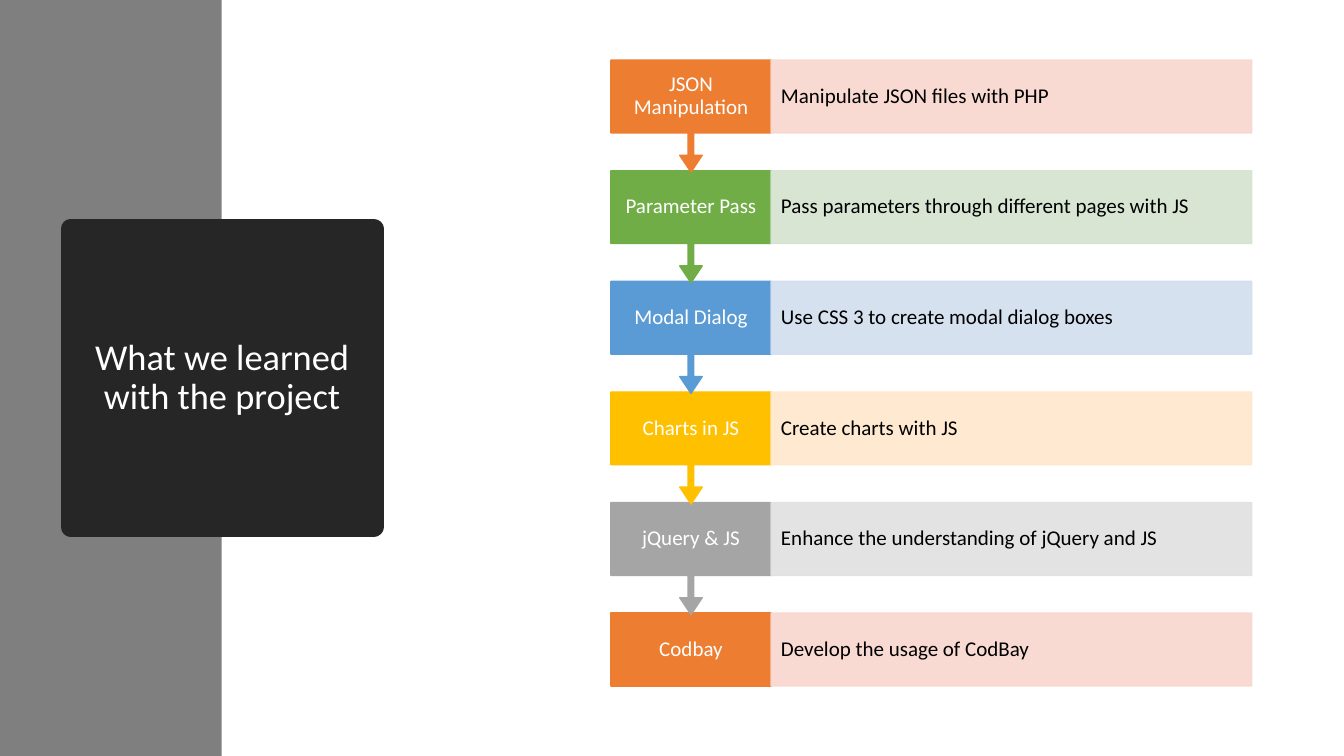
from lxml.etree import SubElement
from pptx import Presentation
from pptx.dml.color import RGBColor
from pptx.enum.shapes import MSO_SHAPE
from pptx.enum.text import MSO_ANCHOR, MSO_AUTO_SIZE, PP_ALIGN
from pptx.oxml.ns import qn
from pptx.util import Pt

TITLE = "What we learned with the project"
LESSONS = [
    ("JSON Manipulation", "Manipulate JSON files with PHP", "orange"),
    ("Parameter Pass", "Pass parameters through different pages with JS", "green"),
    ("Modal Dialog", "Use CSS 3 to create modal dialog boxes", "blue"),
    ("Charts in JS", "Create charts with JS", "gold"),
    ("jQuery & JS", "Enhance the understanding of jQuery and JS", "gray"),
    ("Codbay", "Develop the usage of CodBay", "orange"),
]
COLORS = {
    "panel": "7F7F7F", "card": "262626", "white": "FFFFFF", "black": "000000",
    "orange": "ED7D31", "orange tint": "F8D7CE",
    "green": "70AD47", "green tint": "D5E3CF",
    "blue": "5B9BD5", "blue tint": "D2DEEF",
    "gold": "FFC000", "gold tint": "FFE8CC",
    "gray": "A5A5A5", "gray tint": "E1E1E1",
}
FONT = "Calibri"
STEP_LEFT, STEP_WIDTH = 436.4, 114.4
DETAIL_LEFT, DETAIL_WIDTH = STEP_LEFT + STEP_WIDTH, 343.4
FIRST_TOP, PITCH = 43, 79
BODY_HEIGHT, CALLOUT_HEIGHT = 52, 80
ARROW_SHAPE = (0.05, 0.1, 0.15, BODY_HEIGHT / CALLOUT_HEIGHT)


def color(name):
    return RGBColor.from_string(COLORS[name])


def paint(shape, name, line_width=1, opacity=100):
    shape.fill.solid()
    shape.fill.fore_color.rgb = color(name)
    shape.line.fill.solid()
    shape.line.color.rgb = color(name)
    shape.line.width = Pt(line_width)
    if opacity < 100:
        for tone in shape._element.spPr.iter(qn("a:srgbClr")):
            SubElement(tone, qn("a:alpha"), val=str(opacity * 1000))


def write(shape, text, size, name, align):
    frame = shape.text_frame
    frame.text = text
    frame.word_wrap = True
    frame.auto_size = MSO_AUTO_SIZE.NONE
    frame.vertical_anchor = MSO_ANCHOR.MIDDLE
    para = frame.paragraphs[0]
    para.alignment = align
    para.line_spacing = 0.9
    span = para.runs[0]
    span.font.name = FONT
    span.font.size = Pt(size)
    span.font.color.rgb = color(name)


def add_block(page, kind, left, top, width, height):
    block = page.shapes.add_shape(kind, Pt(left), Pt(top), Pt(width), Pt(height))
    block.shadow.inherit = False
    return block


def add_title(page):
    card = page.shapes.title
    card.left, card.top, card.width, card.height = Pt(50.4), Pt(163.4), Pt(216.7), Pt(213.1)
    paint(card, "card", 13.75)
    SubElement(card.line._get_or_add_ln(), qn("a:round"))
    write(card, TITLE, 26, "white", PP_ALIGN.CENTER)


def add_lesson(page, index):
    step_text, detail_text, hue = LESSONS[index]
    top = FIRST_TOP + index * PITCH
    if index == len(LESSONS) - 1:
        step = add_block(page, MSO_SHAPE.RECTANGLE, STEP_LEFT, top, STEP_WIDTH, BODY_HEIGHT)
    else:
        step = add_block(page, MSO_SHAPE.DOWN_ARROW_CALLOUT, STEP_LEFT, top, STEP_WIDTH, CALLOUT_HEIGHT)
        for position, value in enumerate(ARROW_SHAPE):
            step.adjustments[position] = value
    paint(step, hue)
    write(step, step_text, 15, "white", PP_ALIGN.CENTER)

    detail = add_block(page, MSO_SHAPE.RECTANGLE, DETAIL_LEFT, top, DETAIL_WIDTH, BODY_HEIGHT)
    paint(detail, hue + " tint", opacity=90)
    write(detail, detail_text, 15, "black", PP_ALIGN.LEFT)


def main():
    deck = Presentation()
    deck.slide_width, deck.slide_height = Pt(960), Pt(540)
    page = deck.slides.add_slide(deck.slide_layouts[5])
    panel = add_block(page, MSO_SHAPE.RECTANGLE, 0, 0, 158.4, 540)
    paint(panel, "panel")
    panel.line.fill.background()
    page.shapes.title._element.addprevious(panel._element)
    add_title(page)
    for index in reversed(range(len(LESSONS))):
        add_lesson(page, index)
    deck.save("out.pptx")


if __name__ == "__main__":
    main()
